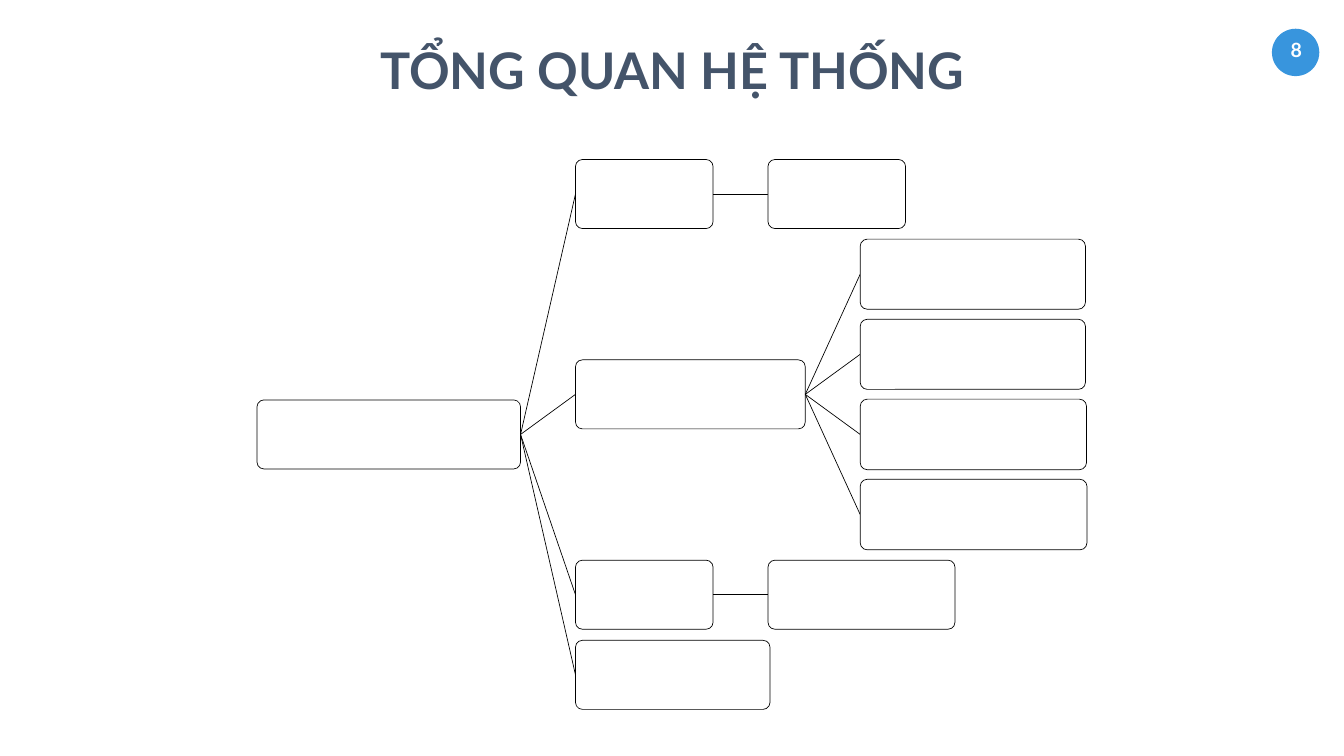
from lxml.etree import SubElement
from pptx import Presentation
from pptx.dml.color import RGBColor
from pptx.enum.shapes import MSO_CONNECTOR, MSO_SHAPE
from pptx.enum.text import MSO_ANCHOR, MSO_AUTO_SIZE, PP_ALIGN
from pptx.oxml.ns import qn
from pptx.util import Inches, Pt

# Tree grid: evenly spaced rows, a fixed gap between parent and child
FIRST_ROW, ROW_STEP, GAP = 3.85, 1.59, 1.09
ROOT_LEFT = 5.1

# Each node: (row, width, height, children)
TREE = (3, 5.23, 1.37, [
    (0, 2.73, 1.37, [(0, 2.73, 1.37, [])]),
    (2.5, 4.56, 1.37, [
        (1, 4.47, 1.39, []),
        (2, 4.47, 1.39, []),
        (3, 4.49, 1.4, []),
        (4, 4.5, 1.4, []),
    ]),
    (5, 2.73, 1.37, [(5, 3.71, 1.37, [])]),
    (6, 3.86, 1.37, []),
])


def color(value):
    return RGBColor.from_string(value)


def row_center(row):
    return FIRST_ROW + row * ROW_STEP


class SlideBuilder:
    font = "Lato"
    title_color = "44546A"
    badge_color = "3895DD"
    paper = "FFFFFF"
    ink = "000000"

    def __init__(self, page):
        self.page = page

    def set_text(self, shape, text, size, text_color, insets):
        frame = shape.text_frame
        frame.word_wrap = False
        frame.auto_size = MSO_AUTO_SIZE.NONE
        frame.vertical_anchor = MSO_ANCHOR.TOP
        frame.margin_left = frame.margin_right = Inches(insets[0])
        frame.margin_top = frame.margin_bottom = Inches(insets[1])
        para = frame.paragraphs[0]
        para.alignment = PP_ALIGN.CENTER
        span = para.add_run()
        span.text = text
        span.font.name = self.font
        span.font.size = Pt(size)
        span.font.bold = True
        span.font.color.rgb = color(text_color)

    def title(self, text, left, top, width, height):
        title = self.page.shapes.title
        title.left, title.top = Inches(left), Inches(top)
        title.width, title.height = Inches(width), Inches(height)
        self.set_text(title, text, 72, self.title_color, (0.1, 0.05))

    def shape(self, kind, left, top, width, height, fill):
        shape = self.page.shapes.add_shape(
            kind, Inches(left), Inches(top), Inches(width), Inches(height))
        shape.shadow.inherit = False
        shape.fill.solid()
        shape.fill.fore_color.rgb = color(fill)
        return shape

    def badge(self, number, left, top, size):
        circle = self.shape(MSO_SHAPE.OVAL, left, top, size, size, self.badge_color)
        circle.line.fill.background()
        box = self.page.shapes.add_textbox(
            Inches(left + 0.03), Inches(top + 0.09), Inches(0.91), Inches(0.67))
        self.set_text(box, number, 28, self.paper, (0.2, 0.1))

    def node(self, left, row, width, height):
        node = self.shape(MSO_SHAPE.ROUNDED_RECTANGLE, left,
                          row_center(row) - height / 2, width, height, self.paper)
        node.adjustments[0] = 0.1
        node.line.color.rgb = color(self.ink)
        node.line.width = Pt(1)

    def link(self, left, start_row, end_row):
        link = self.page.shapes.add_connector(
            MSO_CONNECTOR.STRAIGHT, Inches(left), Inches(row_center(start_row)),
            Inches(left + GAP), Inches(row_center(end_row)))
        link.line.color.rgb = color(self.ink)
        link.line.width = Pt(1)
        SubElement(link._element.spPr, qn("a:effectLst"))

    def tree(self, branch, left):
        row, width, height, children = branch
        self.node(left, row, width, height)
        right = left + width
        for child in children:
            self.link(right, row, child[0])
            self.tree(child, right + GAP)


def main():
    deck = Presentation()
    deck.slide_width, deck.slide_height = Inches(26.67), Inches(15)
    builder = SlideBuilder(deck.slides.add_slide(deck.slide_layouts[5]))

    # Page number and title
    builder.badge("8", 25.24, 0.57, 0.94)
    builder.title("TỔNG QUAN HỆ THỐNG", 7.41, 0.72, 11.86, 1.31)

    # System overview tree
    builder.tree(TREE, ROOT_LEFT)

    deck.save("out.pptx")


if __name__ == "__main__":
    main()
